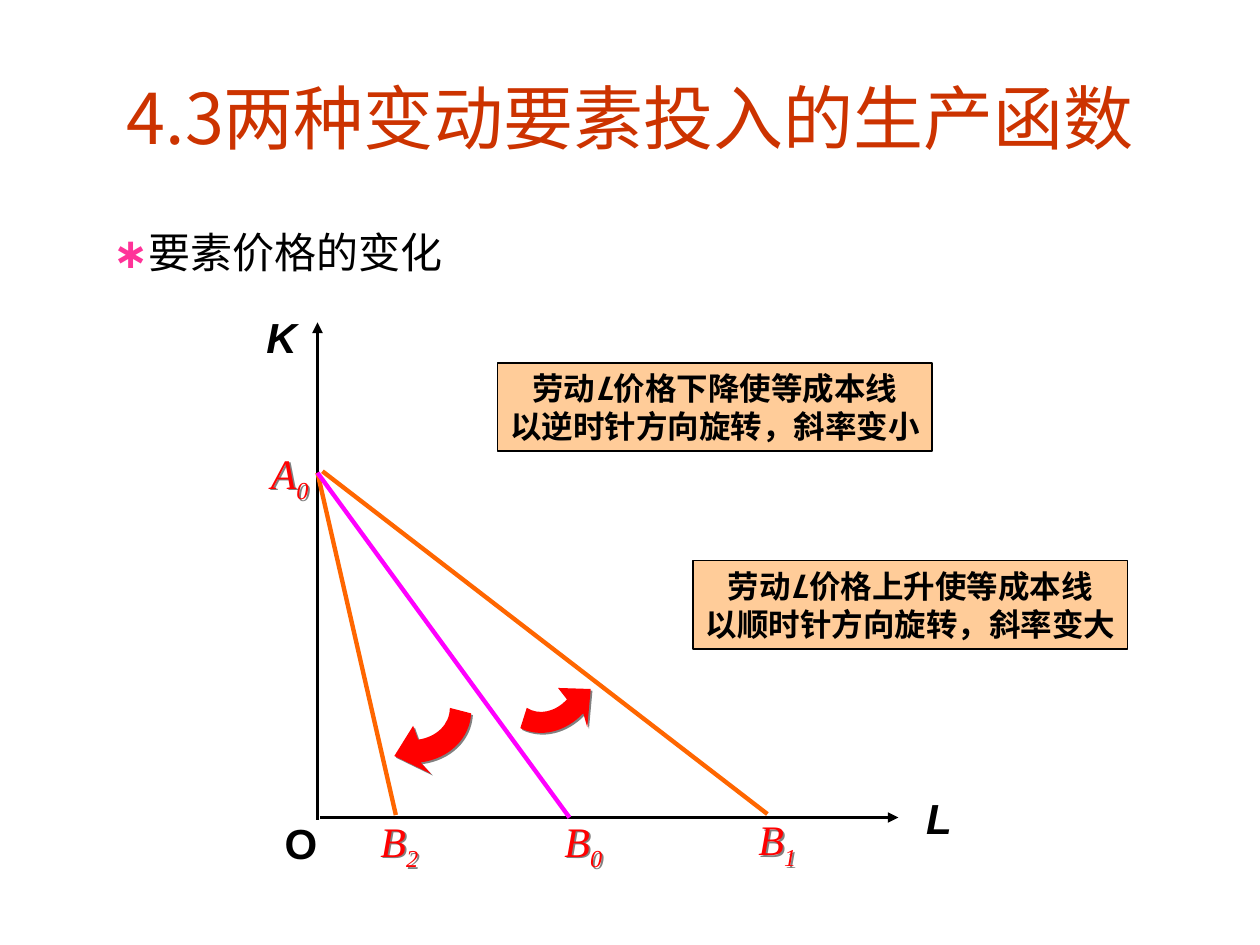
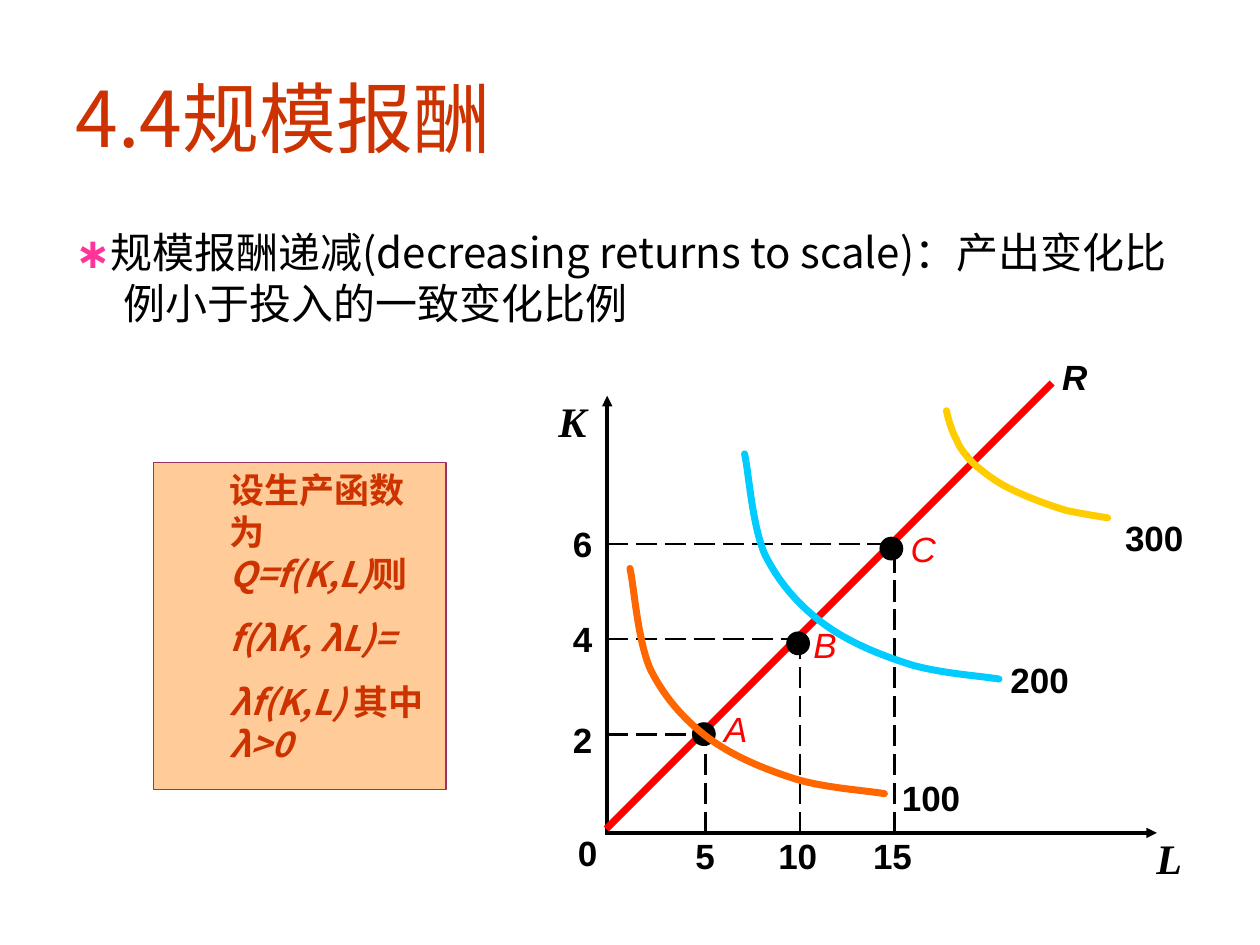
import math
from lxml import etree
from pptx import Presentation
from pptx import util as u
from pptx.dml.color import RGBColor
from pptx.enum import dml, shapes, text
from pptx.oxml.ns import qn

COLORS = {
    "title": "CC3300", "star": "FF3399", "ink": "000000", "red": "FF0000",
    "orange": "FF6600", "magenta": "FF00FF", "sky": "00CCFF", "gold": "FFCC00",
    "panel": "FFCC99", "plum": "993366", "shade": "808080",
}
CJK, SANS, SERIF = "Noto Sans CJK SC", "Arial", "Times New Roman"
LEFT, CENTER, RIGHT = text.PP_ALIGN.LEFT, text.PP_ALIGN.CENTER, text.PP_ALIGN.RIGHT
BREAK = "\n"
ITALIC = {"italic": True}

CLOCKWISE = [
    (8.43, 14.91), (8.79, 14.86, 9.07, 14.61, 9.07, 14.27), (9.5, 14.38),
    (9.47, 14.88, 9.07, 15.29, 8.48, 15.37), (8.69, 15.6), (7.95, 15.24), (8.33, 14.63),
]
COUNTERCLOCKWISE = [
    (11.43, 14.1), (11.2, 14.35, 10.87, 14.43, 10.62, 14.27), (10.49, 14.68),
    (10.9, 14.88, 11.4, 14.76, 11.76, 14.38), (11.84, 14.66), (11.91, 13.89), (11.25, 13.87),
]
ISOQUANT = [
    (12.7, 11.46), (12.78, 11.79, 12.85, 12.9, 13.11, 13.49),
    (13.39, 14.05, 13.77, 14.48, 14.22, 14.83),
    (14.71, 15.21, 15.32, 15.47, 15.93, 15.67),
    (16.54, 15.88, 17.42, 15.93, 17.83, 16),
]
TOP_ISOQUANT = [
    (19.08, 8.28), (19.1, 8.38, 19.18, 8.69, 19.28, 8.86),
    (19.35, 9.04, 19.46, 9.17, 19.63, 9.35),
    (19.84, 9.53, 20.09, 9.73, 20.42, 9.88),
    (20.73, 10.03, 21.16, 10.19, 21.49, 10.29),
    (21.82, 10.36, 22.15, 10.41, 22.33, 10.44),
]


def rgb(name):
    """Return the named colour."""
    return RGBColor.from_string(COLORS[name])


def cm(*values):
    """Convert centimetre values to lengths."""
    return [u.Cm(v) for v in values]


def add_shadow(sp):
    """Give a shape a small grey shadow."""
    sp.shadow.inherit = False
    effects = sp._element.spPr.find(qn("a:effectLst"))
    shadow = etree.SubElement(effects, qn("a:outerShdw"), dist="17961", dir="2700000")
    etree.SubElement(shadow, qn("a:srgbClr"), val=COLORS["shade"])


def style_run(r, size, color, font, bold=False, italic=False, sub=False):
    """Format one run, for Latin and East Asian letters alike."""
    f = r.font
    f.size, f.bold, f.italic, f.name = u.Pt(size), bold, italic, font
    f.color.rgb = rgb(color)
    props = r._r.get_or_add_rPr()
    props.find(qn("a:latin")).addnext(props.makeelement(qn("a:ea"), typeface=CJK))
    if sub:
        props.set("baseline", "-25000")


def write(tf, paragraphs, align=LEFT, before=0, leading=None, indent=None, **style):
    """Fill a text frame; each paragraph is a list of (text, changes) runs."""
    for i, runs in enumerate(paragraphs):
        p = tf.add_paragraph() if i else tf.paragraphs[0]
        p.alignment = align
        if i:
            p.space_before = u.Pt(before)
        if leading:
            p.line_spacing = leading
        if indent:
            left, first = cm(*indent)
            p._p.get_or_add_pPr().set("marL", str(left))
            p._p.get_or_add_pPr().set("indent", str(first))
        for content, changes in runs:
            if content == BREAK:
                p.add_line_break()
                continue
            r = p.add_run()
            r.text = content
            style_run(r, **{**style, **changes})


def add_text(s, box, paragraphs, wrap=False, anchor=text.MSO_ANCHOR.TOP, **style):
    """Add a text box and return it."""
    sp = s.shapes.add_textbox(*cm(*box))
    tf = sp.text_frame
    tf.word_wrap, tf.vertical_anchor = wrap, anchor
    write(tf, paragraphs, **style)
    return sp


def add_label(s, content, x, y, w=1.02, h=1.27, size=24, color="ink", font=SANS, **style):
    """Add a one-line label of the diagram."""
    add_text(s, (x, y, w, h), [[(content, {})]], size=size, color=color, font=font, **style)


def add_point_name(s, letter, index, x, y):
    """Add a red letter with a subscript and a shadow."""
    sp = add_text(s, (x, y, 1.78, 1.42), [[(letter, {}), (index, {"sub": True})]], wrap=True,
                  size=24, color="red", font=SERIF, italic=True)
    add_shadow(sp)


def add_heading(s, title, size, align, bullet, indent):
    """Add the slide title and the starred statement under it."""
    add_text(s, (1.27, 0.76, 22.86, 3.18), [[(title, {})]], wrap=True,
             anchor=text.MSO_ANCHOR.MIDDLE, align=align, size=size, color="title", font=CJK)
    star = ("∗", {"color": "star", "bold": True})
    add_text(s, (1.27, 4.45, 22.86, 12.57), [[star, (bullet, {})]], wrap=True, indent=indent,
             leading=u.Pt(28.8), size=24, color="ink", font=CJK)


def add_panel(s, box, paragraphs, size, border, border_width, wrap, **style):
    """Add a peach box with bold text."""
    sp = s.shapes.add_shape(shapes.MSO_SHAPE.RECTANGLE, *cm(*box))
    sp.shadow.inherit = False
    sp.fill.solid()
    sp.fill.fore_color.rgb = rgb("panel")
    sp.line.color.rgb, sp.line.width = rgb(border), u.Pt(border_width)
    tf = sp.text_frame
    tf.word_wrap, tf.vertical_anchor = wrap, text.MSO_ANCHOR.TOP
    write(tf, paragraphs, leading=u.Pt(1.2 * size), size=size, font=CJK, bold=True, **style)


def add_callout(s, x, y, change, rotation):
    """Explain in two lines what a change in the price of labour does."""
    lines = [[("劳动", {}), ("L", ITALIC), (change, {})], [(rotation, {})]]
    add_panel(s, (x, y, 8.76, 1.78), lines, 18, "ink", 1, False, align=CENTER, color="ink")


def add_line(s, start, end, color="ink", width=2.0, dashed=False, arrow=None):
    """Add a straight line; arrow is headEnd or tailEnd."""
    cn = s.shapes.add_connector(shapes.MSO_CONNECTOR.STRAIGHT, *cm(*start, *end))
    cn.line.color.rgb, cn.line.width = rgb(color), u.Pt(width)
    if dashed:
        cn.line.dash_style = dml.MSO_LINE.LONG_DASH
    props = cn._element.spPr
    if arrow:
        etree.SubElement(props.find(qn("a:ln")), qn("a:" + arrow), type="triangle")
    etree.SubElement(props, qn("a:effectLst"))


def add_outline(s, outline, closed, frame=None, angle=0):
    """Add a freeform of corners and cubic curves, in a turned frame if given."""
    corners = [cm(*segment[-2:]) for segment in outline]
    builder = s.shapes.build_freeform(*corners[0])
    builder.add_line_segments(corners[1:], close=closed)
    sp = builder.convert_to_shape()
    if frame:
        sp.left, sp.top, sp.width, sp.height = cm(*frame)
        sp.rotation = angle
    cos, sin = math.cos(math.radians(angle)), math.sin(math.radians(angle))
    track = sp._element.spPr.find(".//" + qn("a:path"))
    track.set("w", str(sp.width))
    track.set("h", str(sp.height))
    for child in list(track):
        track.remove(child)
    for i, segment in enumerate(outline):
        tag = "a:cubicBezTo" if len(segment) == 6 else "a:lnTo" if i else "a:moveTo"
        step = etree.SubElement(track, qn(tag))
        for x, y in zip(cm(*segment[::2]), cm(*segment[1::2])):
            dx, dy = x - sp.left - sp.width / 2, y - sp.top - sp.height / 2
            etree.SubElement(step, qn("a:pt"),
                             x=str(round(dx * cos + dy * sin + sp.width / 2)),
                             y=str(round(dy * cos - dx * sin + sp.height / 2)))
    if closed:
        etree.SubElement(track, qn("a:close"))
    return sp


def add_turn_arrow(s, outline, frame, angle):
    """Add a red bent arrow with a shadow."""
    sp = add_outline(s, outline, True, frame, angle)
    sp.fill.solid()
    sp.fill.fore_color.rgb = rgb("red")
    sp.line.fill.background()
    add_shadow(sp)


def add_curve(s, outline, color, shift=0):
    """Add an isoquant, moved right and up by the shift."""
    signs = (1, -1) * 3
    moved = [tuple(v + sign * shift for v, sign in zip(segment, signs)) for segment in outline]
    sp = add_outline(s, moved, False)
    sp.shadow.inherit = False
    sp.fill.background()
    sp.line.color.rgb, sp.line.width = rgb(color), u.Pt(4)
    sp._element.spPr.find(qn("a:ln")).set("cap", "rnd")


def add_dot(s, x, y, size=0.48):
    """Add a black dot centred on a point."""
    sp = s.shapes.add_shape(shapes.MSO_SHAPE.OVAL, *cm(x - size / 2, y - size / 2, size, size))
    sp.shadow.inherit = False
    sp.fill.solid()
    sp.fill.fore_color.rgb = rgb("ink")
    sp.line.fill.background()


def build_price_change(s):
    """Show isocost lines turning when the price of labour changes."""
    add_heading(s, "4.3两种变动要素投入的生产函数", 40, CENTER, "要素价格的变化", (0.97, -0.21))
    add_line(s, (6.4, 6.5), (6.4, 16.54), arrow="headEnd")
    add_line(s, (6.45, 16.48), (18.11, 16.48), arrow="tailEnd")
    add_label(s, "L", 18.42, 15.85, bold=True, italic=True)
    add_label(s, "K", 5.11, 6.15, 1.12, align=RIGHT, bold=True, italic=True)
    add_label(s, "O", 5.49, 16.36, 1.17, bold=True)

    add_line(s, (6.4, 9.53), (7.98, 16.43), "orange", 2.5)
    add_point_name(s, "B", "2", 7.42, 16.31)
    add_turn_arrow(s, CLOCKWISE, (7.04, 12.83, 2.29, 2.72), 285.3)
    add_callout(s, 13.97, 11.3, "价格上升使等成本线", "以顺时针方向旋转，斜率变大")

    add_line(s, (6.4, 9.53), (11.48, 16.48), "magenta", 2.5)
    add_point_name(s, "A", "0", 5.21, 8.89)
    add_point_name(s, "B", "0", 11.13, 16.31)

    add_line(s, (6.5, 9.5), (15.47, 16.41), "orange", 2.5)
    add_callout(s, 10.03, 7.32, "价格下降使等成本线", "以逆时针方向旋转，斜率变小")
    add_point_name(s, "B", "1", 15.04, 16.28)
    add_turn_arrow(s, COUNTERCLOCKWISE, (9.93, 12.27, 2.13, 2.51), 17.9)


def build_returns_to_scale(s):
    """Show decreasing returns to scale along a ray."""
    add_heading(s, "4.4规模报酬", 44, LEFT,
                "规模报酬递减(decreasing returns to scale)：产出变化比例小于投入的一致变化比例",
                (0.97, -0.97))
    left, bottom = 12.24, 16.79
    add_line(s, (left, 7.98), (left, bottom), arrow="headEnd")
    add_line(s, (left - 0.05, bottom), (23.32, bottom), arrow="tailEnd")
    add_label(s, "L", 23.06, 16.66, font=SERIF, bold=True, italic=True)
    add_label(s, "K", 11, 7.85, 1.07, font=SERIF, align=RIGHT, bold=True, italic=True)
    tick = {"h": 1.09, "size": 20, "bold": True}
    add_label(s, "0", 11.4, 16.64, 0.89, **tick)
    add_line(s, (12.22, 16.71), (21.21, 7.72), "red", 4)
    add_label(s, "R", 21.16, 7.04, italic=True, **tick)

    points = (
        ("A", (14.19, 14.8), (14.22, 14.81), (14.35, 13.97), ("5", 13.77, 0.89), ("2", 14.35)),
        ("B", (16.09, 12.97), (16.13, 12.88), (16.15, 12.27), ("10", 15.44, 1.3), ("4", 12.32)),
        ("C", (17.97, 11.06), (18.03, 10.97), (18.11, 10.34), ("15", 17.35, 1.3), ("6", 10.41)),
    )
    for name, dot, (x, y), spot, (labour, tick_x, tick_w), (capital, tick_y) in points:
        add_line(s, (left, y), (dot[0] - 0.06, y), width=1.5, dashed=True)
        add_line(s, (x, bottom), (x, dot[1] + 0.03), width=1.5, dashed=True)
        add_dot(s, *dot)
        add_label(s, labour, tick_x, 16.69, tick_w, **tick)
        add_label(s, capital, 11.3, tick_y, 0.89, **tick)
        add_label(s, name, *spot, size=20, color="red", italic=True, leading=1.2)

    add_curve(s, ISOQUANT, "orange")
    add_curve(s, ISOQUANT, "sky", 2.31)
    add_curve(s, TOP_ISOQUANT, "gold")
    for output, x, y in (("100", 17.93, 15.52), ("200", 20.12, 13.16), ("300", 22.43, 10.29)):
        add_label(s, output, x, y, 1.68, **tick)

    formula = [
        [("设生产函数为", {}), (BREAK, {}), ("Q=f(K,L)", ITALIC), ("则", {})],
        [("f(λK, λL)=", ITALIC)],
        [("λf(K,L) ", ITALIC), ("其中", {}), ("λ>0", ITALIC)],
    ]
    add_panel(s, (3.1, 9.32, 5.89, 6.6), formula, 20, "plum", 0.75, True,
              before=12.5, indent=(1.27, 0), color="title")


def main():
    """Build both slides and save them."""
    prs = Presentation()
    prs.slide_width, prs.slide_height = cm(25.4, 19.05)
    for build in (build_price_change, build_returns_to_scale):
        build(prs.slides.add_slide(prs.slide_layouts[6]))
    prs.save("out.pptx")


if __name__ == "__main__":
    main()
